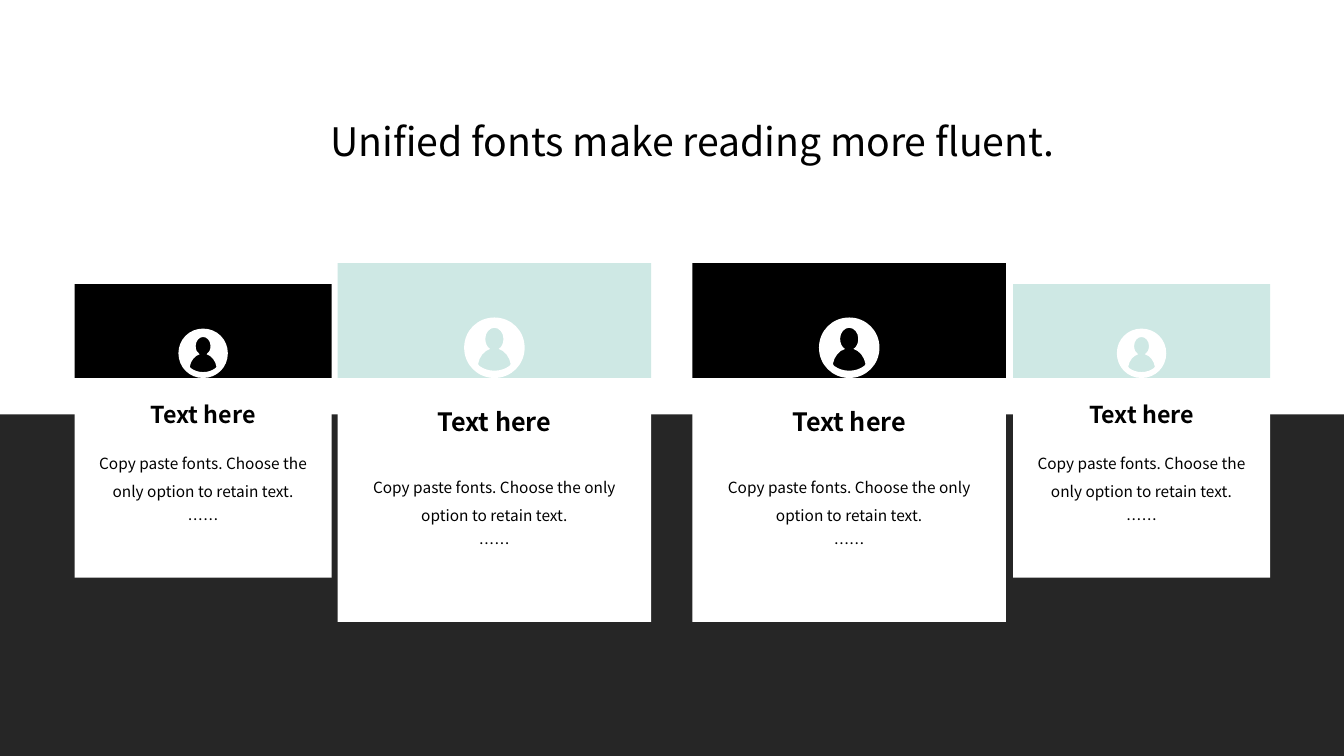
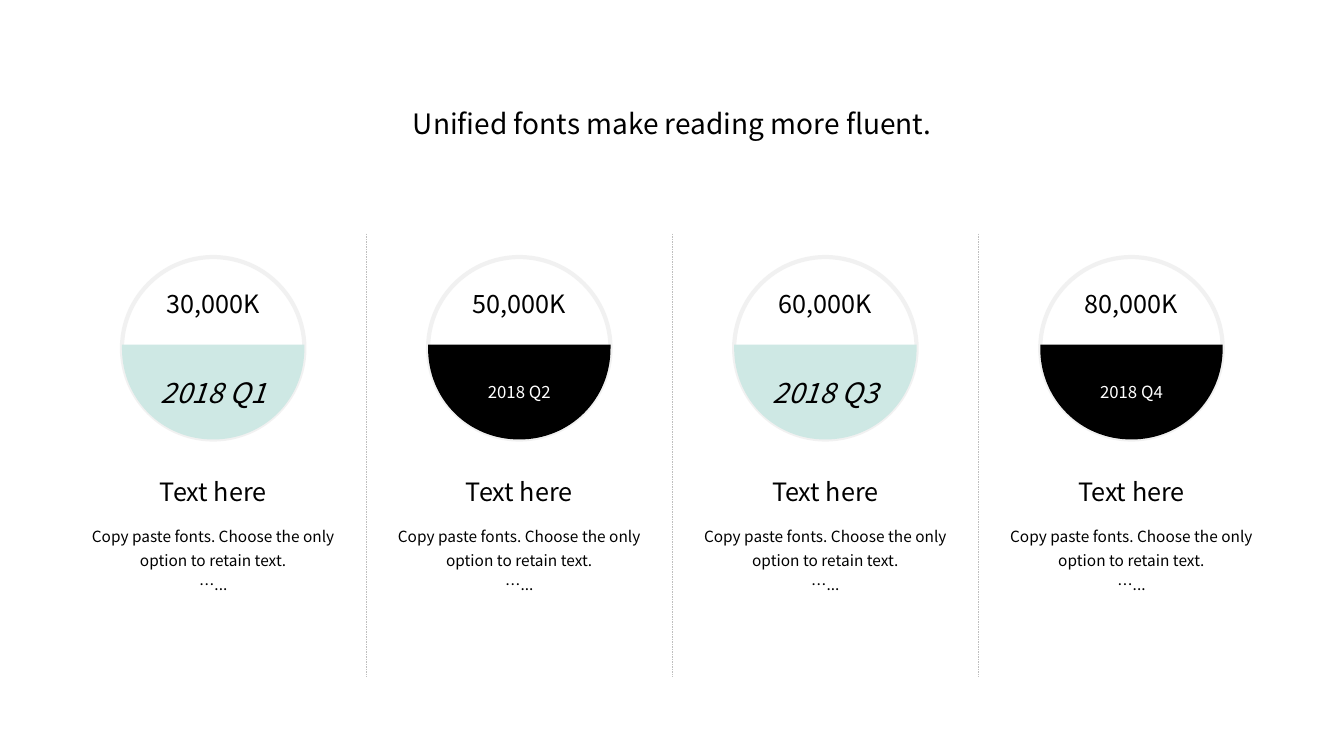
"""Build two slides: four profile cards and four quarterly figures."""
from lxml import etree
from pptx import Presentation
from pptx import util as u
from pptx.dml.color import RGBColor
from pptx.enum import dml, shapes, text
from pptx.oxml.ns import qn

FONT = "Noto Sans CJK SC"
BLACK, WHITE, MINT, DARK = "000000", "FFFFFF", "CEE8E4", "262626"
RING, DIVIDER = "D9D9D9", "BFBFBF"
TITLE = "Unified fonts make reading more fluent."
HEADING = "Text here"
COPY = "Copy paste fonts. Choose the only option to retain text."
LEFT, CONTENT_WIDTH = 0.74, 11.86


def paint(fill, colour):
    fill.solid()
    fill.fore_color.rgb = RGBColor.from_string(colour)


def write(box, *lines, size, colour=BLACK, bold=False, italic=False,
          spacing=None, anchor=text.MSO_ANCHOR.MIDDLE):
    frame = box.text_frame
    frame.word_wrap = True
    frame.vertical_anchor = anchor
    for index, line in enumerate(lines):
        para = frame.add_paragraph() if index else frame.paragraphs[0]
        para.alignment = text.PP_ALIGN.CENTER
        para.line_spacing = spacing
        span = para.add_run()
        span.text = line
        span.font.size = u.Pt(size)
        span.font.name = FONT
        span.font.bold = bold
        span.font.italic = italic
        paint(span.font.fill, colour)
        east_asian = etree.SubElement(span.font._element, qn("a:ea"))
        east_asian.set("typeface", FONT)


deck = Presentation()
deck.slide_width, deck.slide_height = u.Inches(40 / 3), u.Inches(7.5)
pages = []
for left, top, height, size in ((0.94, 1.08, 0.64, 28), (LEFT, 0.89, 0.66, 20)):
    page = deck.slides.add_slide(deck.slide_layouts[6])
    paint(page.background.fill, WHITE)
    pages.append(page)
    if len(pages) == 1:
        floor = page.shapes.add_shape(
            shapes.MSO_SHAPE.RECTANGLE, 0, u.Inches(4.11), deck.slide_width, u.Inches(3.39))
        floor.shadow.inherit = False
        floor.line.fill.background()
        paint(floor.fill, DARK)
    title = page.shapes.add_textbox(
        u.Inches(left), u.Inches(top), u.Inches(CONTENT_WIDTH), u.Inches(height))
    write(title, TITLE, size=size)
cards_page, figures_page = pages

disc = [
    [(0.5, 0), (0.78, 0), (1, 0.22), (1, 0.5)],
    [(1, 0.5), (1, 0.78), (0.78, 1), (0.5, 1)],
    [(0.5, 1), (0.22, 1), (0, 0.78), (0, 0.5)],
    [(0, 0.5), (0, 0.22), (0.22, 0), (0.5, 0)],
]
right_side = [
    [(0.5, 0.17), (0.58, 0.17), (0.65, 0.25), (0.65, 0.35)],
    [(0.65, 0.35), (0.65, 0.43), (0.62, 0.49), (0.57, 0.52)],
    [(0.57, 0.52), (0.67, 0.55), (0.75, 0.65), (0.77, 0.77)],
    [(0.77, 0.77), (0.77, 0.78), (0.77, 0.79), (0.75, 0.8)],
    [(0.75, 0.8), (0.68, 0.85), (0.6, 0.88), (0.5, 0.88)],
]
left_side = [[(1 - x, y) for x, y in reversed(curve)] for curve in reversed(right_side)]
person = right_side + left_side
curved_shapes = []

SEAM = 3.75
LARGE = dict(width=3.11, banner=1.14, panel=2.42, gap=0.23, head=0.4, copy=1.37, icon=0.6, size=18)
SMALL = dict(width=2.55, banner=0.93, panel=1.98, gap=0.19, head=0.33, copy=1.12, icon=0.49, size=16.6)
for left, colour, card in ((3.35, MINT, LARGE), (LEFT, BLACK, SMALL),
                           (6.87, BLACK, LARGE), (10.05, MINT, SMALL)):
    width = card["width"]
    for top, height, fill in ((SEAM - card["banner"], card["banner"], colour),
                              (SEAM, card["panel"], WHITE)):
        block = cards_page.shapes.add_shape(
            shapes.MSO_SHAPE.RECTANGLE, u.Inches(left), u.Inches(top),
            u.Inches(width), u.Inches(height))
        block.shadow.inherit = False
        block.line.fill.background()
        paint(block.fill, fill)
    head_top = SEAM + card["gap"]
    heading = cards_page.shapes.add_textbox(
        u.Inches(left), u.Inches(head_top), u.Inches(width), u.Inches(card["head"]))
    write(heading, HEADING, size=card["size"], bold=True)
    body = cards_page.shapes.add_textbox(
        u.Inches(left), u.Inches(head_top + card["head"]), u.Inches(width), u.Inches(card["copy"]))
    write(body, COPY, "……", size=11, spacing=1.5)

    icon_left, icon_top = left + (width - card["icon"]) / 2, SEAM - card["icon"]
    disc_curves, person_curves = [
        [[(u.Inches(icon_left + x * card["icon"]), u.Inches(icon_top + y * card["icon"]))
          for x, y in curve] for curve in outline] for outline in (disc, person)]
    builder = cards_page.shapes.build_freeform(*disc_curves[0][0])
    builder.add_line_segments([curve[-1] for curve in disc_curves])
    builder.move_to(*person_curves[0][0])
    builder.add_line_segments([curve[-1] for curve in person_curves])
    icon = builder.convert_to_shape()
    icon.shadow.inherit = False
    icon.line.fill.background()
    paint(icon.fill, WHITE)
    curved_shapes.append((icon, [curve[1:3] for curve in disc_curves + person_curves]))

COLUMN, DIAMETER, CIRCLE_TOP, BOWL_TOP = 2.75, 1.81, 2.55, 3.42
PITCH = (CONTENT_WIDTH - COLUMN) / 3
MINT_STYLE = dict(size=20, italic=True)
BLACK_STYLE = dict(size=12, colour=WHITE)
radius = DIAMETER / 2
for index, (amount, quarter, colour, style) in enumerate((
        ("30,000K", "2018 Q1", MINT, MINT_STYLE),
        ("50,000K", "2018 Q2", BLACK, BLACK_STYLE),
        ("60,000K", "2018 Q3", MINT, MINT_STYLE),
        ("80,000K", "2018 Q4", BLACK, BLACK_STYLE))):
    left = LEFT + index * PITCH
    circle_left = left + (COLUMN - DIAMETER) / 2
    circle = figures_page.shapes.add_shape(
        shapes.MSO_SHAPE.OVAL, u.Inches(circle_left), u.Inches(CIRCLE_TOP),
        u.Inches(DIAMETER), u.Inches(DIAMETER))
    circle.shadow.inherit = False
    circle.fill.background()
    paint(circle.line.fill, RING)
    circle.line.width = u.Pt(3)
    ring_colour = circle.line._ln.find(".//" + qn("a:srgbClr"))
    etree.SubElement(ring_colour, qn("a:alpha")).set("val", "35000")
    write(circle, amount, size=18, anchor=text.MSO_ANCHOR.TOP)

    arcs = [[(u.Inches(circle_left + x * DIAMETER), u.Inches(CIRCLE_TOP + y * DIAMETER))
             for x, y in curve] for curve in disc[1:3]]
    start, rim = arcs[-1][-1], arcs[0][0]
    bowl_top = u.Inches(BOWL_TOP)
    builder = figures_page.shapes.build_freeform(start[0], bowl_top)
    builder.add_line_segments([(rim[0], bowl_top), rim] + [arc[-1] for arc in arcs])
    bowl = builder.convert_to_shape()
    bowl.shadow.inherit = False
    bowl.line.fill.background()
    paint(bowl.fill, colour)
    write(bowl, quarter, **style)
    curved_shapes.append((bowl, [None, None] + [arc[1:3] for arc in arcs]))

    body = figures_page.shapes.add_textbox(
        u.Inches(left), u.Inches(5.13), u.Inches(COLUMN), u.Inches(1.02))
    write(body, COPY, "…...", size=11, spacing=1.3, anchor=text.MSO_ANCHOR.TOP)
    heading = figures_page.shapes.add_textbox(
        u.Inches(left), u.Inches(4.63), u.Inches(COLUMN), u.Inches(0.49))
    write(heading, HEADING, size=18)

    if index:
        x = u.Inches(left - (PITCH - COLUMN) / 2)
        divider = figures_page.shapes.add_connector(
            shapes.MSO_CONNECTOR.STRAIGHT, x, u.Inches(2.32), x, u.Inches(6.72))
        paint(divider.line.fill, DIVIDER)
        divider.line.width = u.Pt(0.25)
        divider.line.dash_style = dml.MSO_LINE.DASH
        etree.SubElement(divider._element.spPr, qn("a:effectLst"))

for shape, handles in curved_shapes:
    segments = list(shape._element.iter(qn("a:lnTo")))
    for segment, pair in zip(segments, handles):
        if pair:
            segment.tag = qn("a:cubicBezTo")
            for position, (x, y) in enumerate(pair):
                handle = etree.Element(qn("a:pt"), x=str(x - shape.left), y=str(y - shape.top))
                segment.insert(position, handle)

deck.save("out.pptx")
